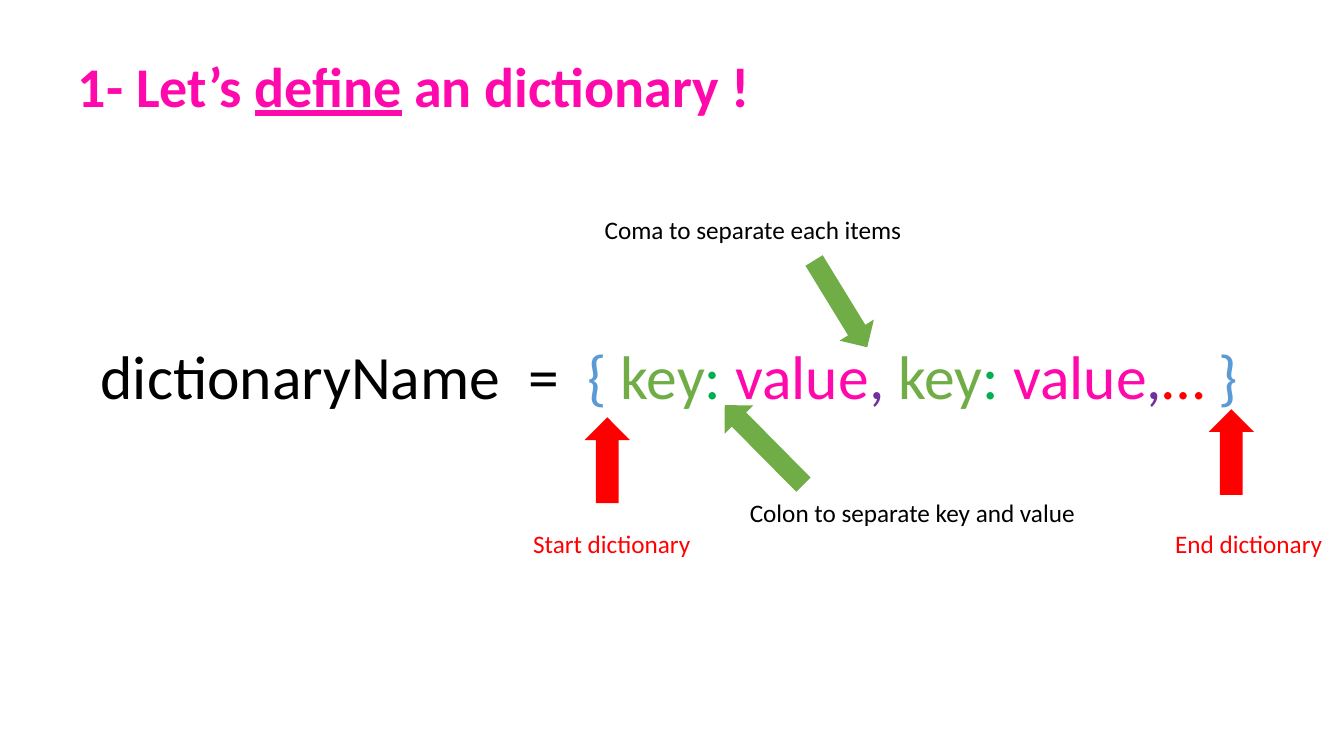
from dataclasses import dataclass

from pptx import Presentation
from pptx.dml.color import RGBColor
from pptx.enum.shapes import MSO_SHAPE
from pptx.enum.text import MSO_ANCHOR, PP_ALIGN
from pptx.shapes.base import BaseShape
from pptx.slide import Slide
from pptx.util import Pt

DOWN_ARROW = MSO_SHAPE.DOWN_ARROW
TOP = MSO_ANCHOR.TOP
LEFT, CENTER = PP_ALIGN.LEFT, PP_ALIGN.CENTER
TITLE_ONLY = 5


@dataclass(frozen=True)
class Theme:
    font: str = "Calibri"
    black: str = "000000"
    pink: str = "FF09AD"
    blue: str = "5B9BD5"
    green: str = "70AD47"
    colon_green: str = "00B050"
    purple: str = "7030A0"
    red: str = "FF0000"
    title_size: float = 40
    syntax_size: float = 44
    label_size: float = 18


@dataclass(frozen=True)
class Box:
    left: float
    top: float
    width: float
    height: float


@dataclass(frozen=True)
class Part:
    text: str
    color: str
    underline: bool = False


@dataclass(frozen=True)
class Callout:
    label: str
    label_box: Box
    label_color: str
    arrow_box: Box
    arrow_color: str
    rotation: float


THEME = Theme()


def place(shape: BaseShape, box: Box) -> None:
    shape.left, shape.top = Pt(box.left), Pt(box.top)
    shape.width, shape.height = Pt(box.width), Pt(box.height)


def write(shape: BaseShape, parts: list[Part], *, size: float,
          bold: bool = False, align: PP_ALIGN = LEFT) -> None:
    frame = shape.text_frame
    frame.word_wrap = False
    frame.vertical_anchor = TOP
    paragraph = frame.paragraphs[0]
    paragraph.alignment = align
    for part in parts:
        run = paragraph.add_run()
        run.text = part.text
        run.font.name = THEME.font
        run.font.size = Pt(size)
        run.font.bold = bold
        run.font.underline = part.underline
        run.font.color.rgb = RGBColor.from_string(part.color)


def add_text(slide: Slide, box: Box, parts: list[Part], size: float) -> None:
    textbox = slide.shapes.add_textbox(0, 0, 0, 0)
    place(textbox, box)
    write(textbox, parts, size=size)


def add_callout(slide: Slide, callout: Callout) -> None:
    arrow = slide.shapes.add_shape(DOWN_ARROW, 0, 0, 0, 0)
    place(arrow, callout.arrow_box)
    arrow.rotation = callout.rotation
    arrow.shadow.inherit = False
    arrow.fill.solid()
    arrow.fill.fore_color.rgb = RGBColor.from_string(callout.arrow_color)
    arrow.line.fill.background()
    add_text(slide, callout.label_box,
             [Part(callout.label, callout.label_color)], THEME.label_size)


presentation = Presentation()
presentation.slide_width, presentation.slide_height = Pt(960), Pt(540)
slide = presentation.slides.add_slide(presentation.slide_layouts[TITLE_ONLY])

# Title
title = slide.shapes.title
place(title, Box(45.4, 33.1, 500.4, 55.4))
write(title, [
    Part("1- Let’s ", THEME.pink),
    Part("define", THEME.pink, underline=True),
    Part(" an dictionary !", THEME.pink),
], size=THEME.title_size, bold=True, align=CENTER)

# Dictionary syntax: the key and value pair appears twice
pair = [
    Part("key", THEME.green),
    Part(": ", THEME.colon_green),
    Part("value", THEME.pink),
]
syntax = [
    Part("dictionaryName  =  ", THEME.black),
    Part("{ ", THEME.blue),
    *pair,
    Part(", ", THEME.purple),
    *pair,
    Part(",", THEME.purple),
    Part("… ", THEME.red),
    Part("}", THEME.blue),
]
add_text(slide, Box(64.8, 237.6, 835.2, 59.8), syntax, THEME.syntax_size)

# Arrows and labels explaining each symbol
callouts = [
    Callout("Start dictionary", Box(373.7, 373.7, 128.2, 28.8), THEME.red,
            Box(417.6, 298.1, 32.4, 61.2), THEME.red, 180),
    Callout("End dictionary", Box(832.3, 373.7, 121, 28.8), THEME.red,
            Box(863.3, 292.3, 32.4, 61.2), THEME.red, 180),
    Callout("Colon to separate key and value",
            Box(528.5, 351.4, 249.8, 28.8), THEME.black,
            Box(531.4, 277.9, 28.8, 79.9), THEME.green, 135.3),
    Callout("Coma to separate each items",
            Box(424.8, 149.8, 229, 28.8), THEME.black,
            Box(586.1, 180.7, 28.8, 72.7), THEME.green, 328.5),
]
for callout in callouts:
    add_callout(slide, callout)

presentation.save("out.pptx")
